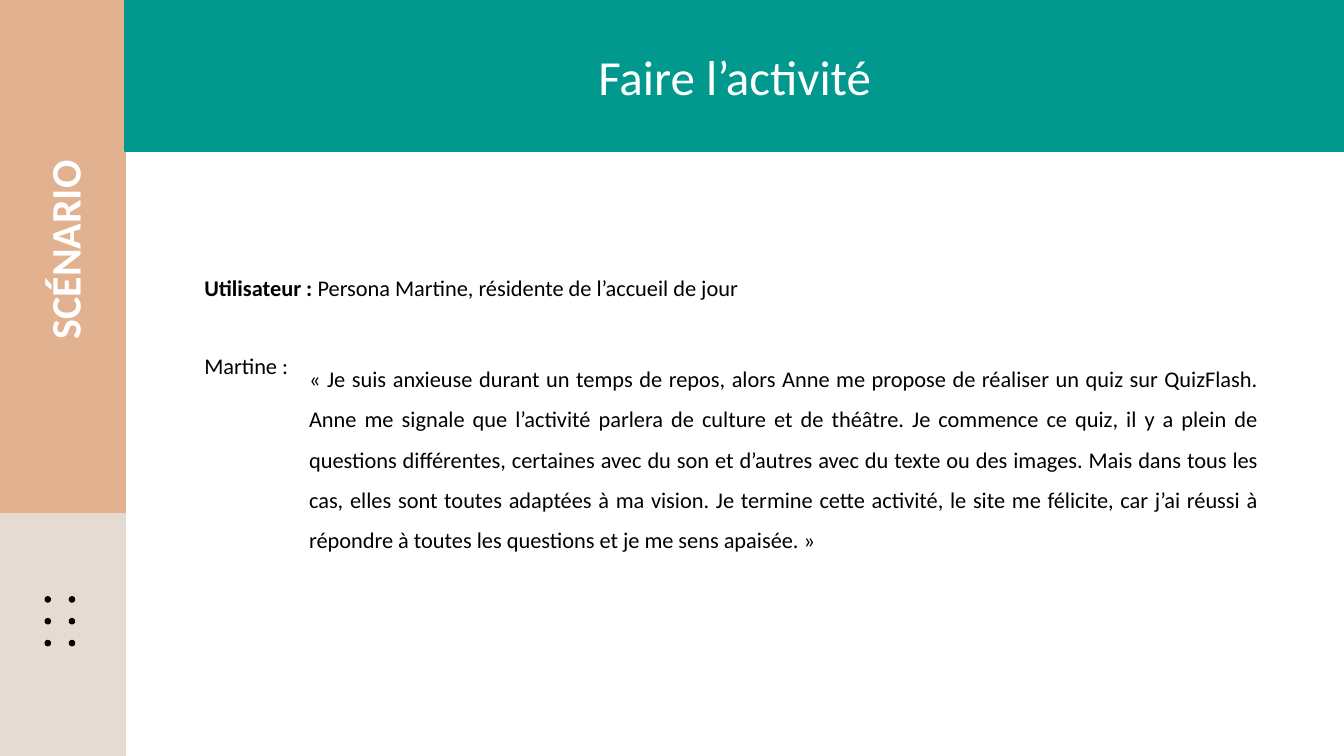
from dataclasses import dataclass
from itertools import product

from pptx import Presentation
from pptx.dml.color import RGBColor
from pptx.enum.shapes import MSO_SHAPE
from pptx.enum.text import MSO_AUTO_SIZE, PP_ALIGN
from pptx.util import Cm, Pt


@dataclass(frozen=True)
class Theme:
    """Colours, font and type sizes of the slide."""

    peach: RGBColor = RGBColor(0xE2, 0xB1, 0x90)
    sand: RGBColor = RGBColor(0xE5, 0xDB, 0xD2)
    teal: RGBColor = RGBColor(0x01, 0x99, 0x8D)
    black: RGBColor = RGBColor(0, 0, 0)
    white: RGBColor = RGBColor(255, 255, 255)
    font: str = "Calibri"
    title: Pt = Pt(35)
    section: Pt = Pt(30)
    body: Pt = Pt(16)


THEME = Theme()
SLIDE_WIDTH, SLIDE_HEIGHT = 33.87, 19.05
SIDEBAR_WIDTH = 3.15
SECTION_HEIGHT = 12.95
BANNER_HEIGHT = 3.81
TEXT_LEFT, QUOTE_LEFT = 4.9, 7.54
USER_TOP, QUOTE_TOP = 6.78, 8.74
DOT_SIZE = 0.13
DOT_LEFT, DOT_TOP = 1.14, 15.04
DOT_COLUMN_STEP, DOT_ROW_STEP = 0.61, 0.55

QUOTE = (
    "« Je suis anxieuse durant un temps de repos, alors Anne me propose de "
    "réaliser un quiz sur QuizFlash. Anne me signale que l’activité parlera de "
    "culture et de théâtre. Je commence ce quiz, il y a plein de questions "
    "différentes, certaines avec du son et d’autres avec du texte ou des images. "
    "Mais dans tous les cas, elles sont toutes adaptées à ma vision. Je termine "
    "cette activité, le site me félicite, car j’ai réussi à répondre à toutes les "
    "questions et je me sens apaisée. »"
)


def add_filled_shape(slide, kind, left, top, width, height, color):
    """Add a preset shape whose fill and outline share one colour."""
    shape = slide.shapes.add_shape(kind, Cm(left), Cm(top), Cm(width), Cm(height))
    shape.shadow.inherit = False
    shape.fill.solid()
    shape.fill.fore_color.rgb = color
    shape.line.color.rgb = color
    shape.line.width = Pt(1)


def format_run(run, size, color, bold):
    """Apply the theme font, a size, a colour and a weight to a run."""
    run.font.name = THEME.font
    run.font.size = size
    run.font.color.rgb = color
    run.font.bold = bold


def add_text(slide, text, left, top, width, height, size=THEME.body,
             color=THEME.black, bold=False, align=PP_ALIGN.LEFT):
    """Add a wrapping one-paragraph text box and return it."""
    box = slide.shapes.add_textbox(Cm(left), Cm(top), Cm(width), Cm(height))
    frame = box.text_frame
    frame.text = text
    frame.word_wrap = True
    frame.auto_size = MSO_AUTO_SIZE.SHAPE_TO_FIT_TEXT
    paragraph = frame.paragraphs[0]
    paragraph.alignment = align
    format_run(paragraph.runs[0], size, color, bold)
    return box


def add_dot_grid(slide):
    """Add the grid of small dots, three rows by two columns."""
    for row, column in product(range(3), range(2)):
        add_filled_shape(slide, MSO_SHAPE.OVAL,
                         DOT_LEFT + column * DOT_COLUMN_STEP,
                         DOT_TOP + row * DOT_ROW_STEP,
                         DOT_SIZE, DOT_SIZE, THEME.black)


def add_sidebar(slide):
    """Add the two sidebar panels and the dots."""
    add_filled_shape(slide, MSO_SHAPE.RECTANGLE, 0, 0,
                     SIDEBAR_WIDTH, SECTION_HEIGHT, THEME.peach)
    add_filled_shape(slide, MSO_SHAPE.RECTANGLE, 0, SECTION_HEIGHT,
                     SIDEBAR_WIDTH, SLIDE_HEIGHT - SECTION_HEIGHT, THEME.sand)
    add_dot_grid(slide)


def add_headings(slide):
    """Add the banner, the rotated section name and the title."""
    add_filled_shape(slide, MSO_SHAPE.RECTANGLE, SIDEBAR_WIDTH, 0,
                     SLIDE_WIDTH - SIDEBAR_WIDTH, BANNER_HEIGHT, THEME.teal)
    section = add_text(slide, "SCÉNARIO", -1.04, 5.36, 5.33, 1.55,
                       THEME.section, THEME.white, bold=True)
    section.rotation = 270
    add_text(slide, "Faire l’activité", 6.25, 1.04, 24.54, 1.75,
             THEME.title, THEME.white, align=PP_ALIGN.CENTER)


def add_scenario(slide):
    """Add the user line, the speaker label and the quote."""
    user = add_text(slide, "Utilisateur : ", TEXT_LEFT, USER_TOP, 16.15, 0.94, bold=True)
    persona = user.text_frame.paragraphs[0].add_run()
    persona.text = "Persona Martine, résidente de l’accueil de jour"
    format_run(persona, THEME.body, THEME.black, False)
    quote = add_text(slide, QUOTE, QUOTE_LEFT, QUOTE_TOP, 24.43, 5.05,
                     align=PP_ALIGN.JUSTIFY)
    quote.text_frame.paragraphs[0].line_spacing = 1.5
    add_text(slide, "Martine :", TEXT_LEFT, QUOTE_TOP, QUOTE_LEFT - TEXT_LEFT, 0.94)


def main():
    """Build the slide and save the presentation."""
    presentation = Presentation()
    presentation.slide_width = Cm(SLIDE_WIDTH)
    presentation.slide_height = Cm(SLIDE_HEIGHT)
    slide = presentation.slides.add_slide(presentation.slide_layouts[6])
    add_sidebar(slide)
    add_headings(slide)
    add_scenario(slide)
    presentation.save("out.pptx")


if __name__ == "__main__":
    main()
